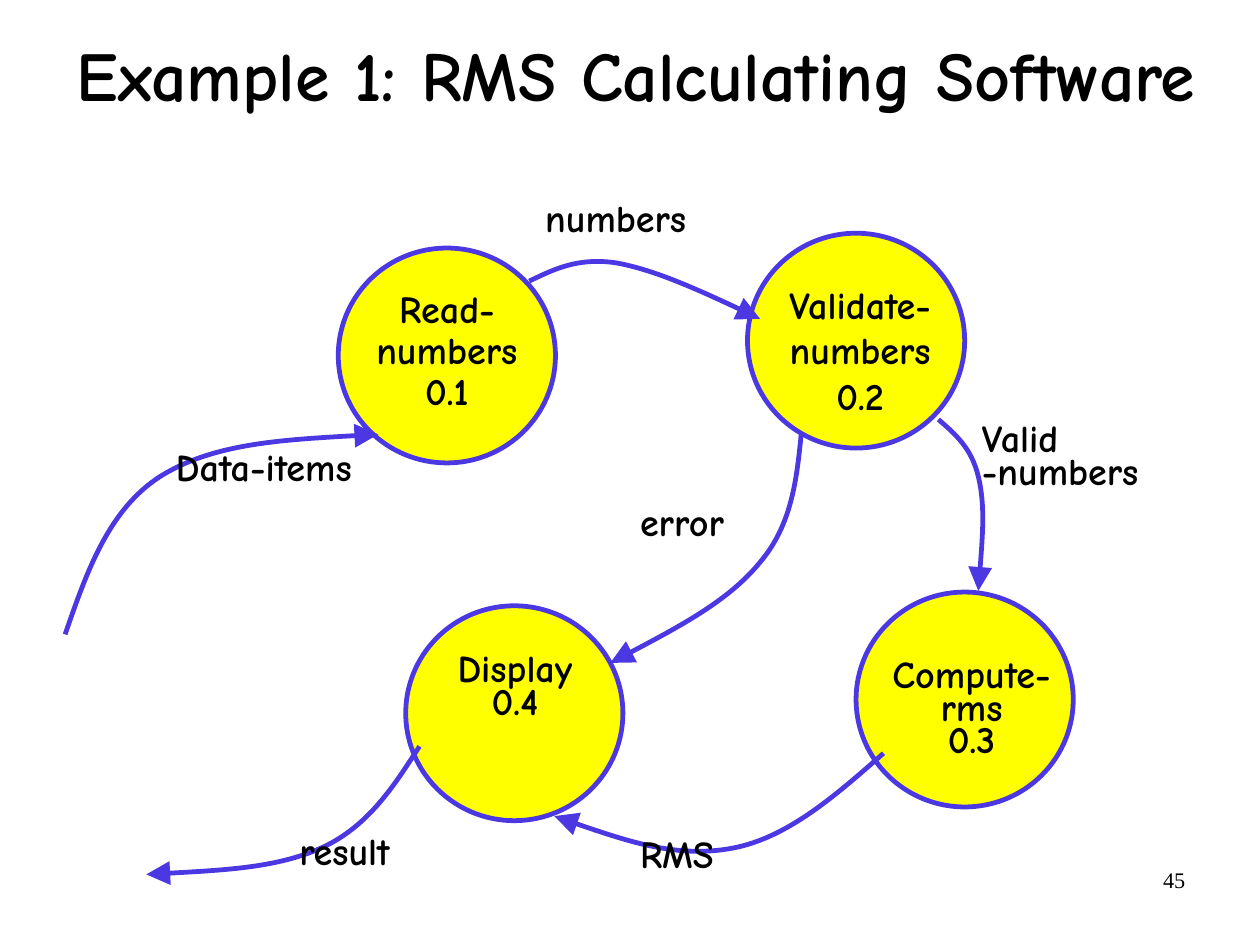
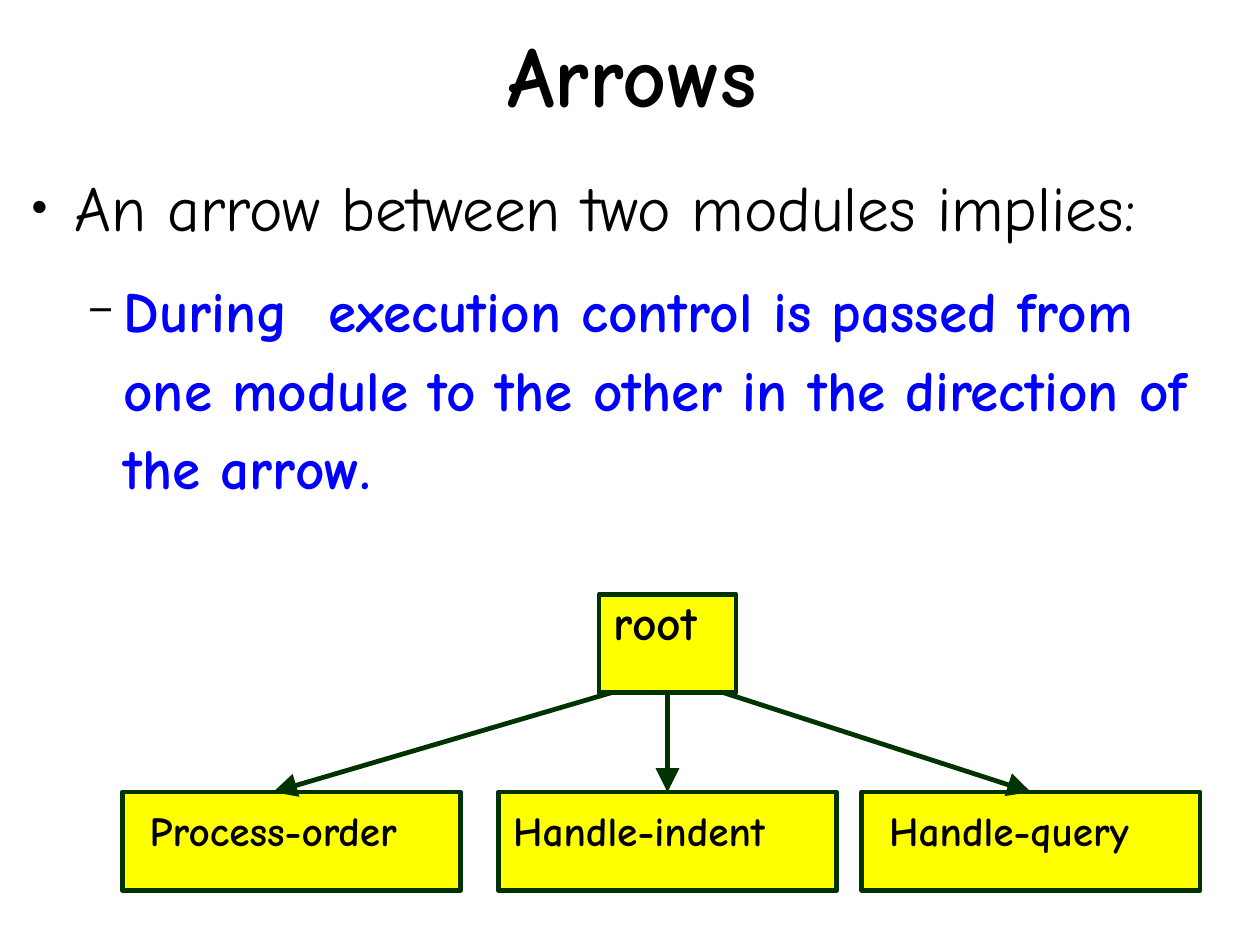
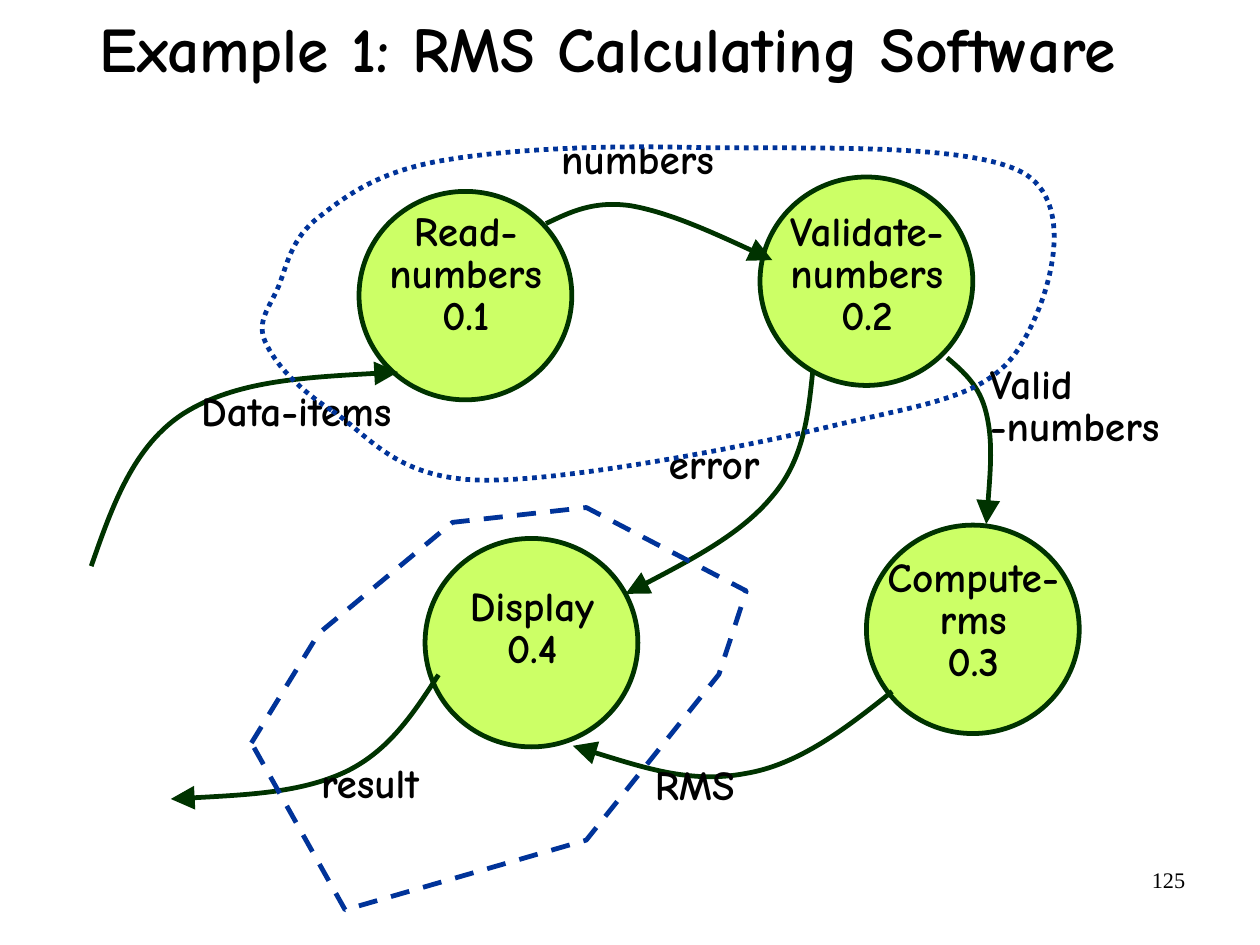
"""Build three slides on data flow diagrams and structure charts."""
from dataclasses import dataclass
from typing import Optional

from lxml.etree import SubElement
from pptx import Presentation
from pptx.dml.color import RGBColor
from pptx.enum.dml import MSO_LINE_DASH_STYLE as Dash
from pptx.enum.shapes import MSO_CONNECTOR as Connector, MSO_SHAPE as Preset
from pptx.enum.text import MSO_ANCHOR as Anchor, MSO_AUTO_SIZE as AutoSize, PP_ALIGN as Align
from pptx.oxml.ns import qn
from pptx.util import Inches, Pt

SLIDE_WIDTH = Inches(28 / 2.54)
SLIDE_HEIGHT = Inches(21 / 2.54)

BLACK = RGBColor(0x00, 0x00, 0x00)
YELLOW = RGBColor(0xFF, 0xFF, 0x00)
LIME = RGBColor(0xCC, 0xFF, 0x66)
VIOLET = RGBColor(0x4C, 0x38, 0xE2)
DARK_GREEN = RGBColor(0x00, 0x33, 0x00)
NAVY = RGBColor(0x00, 0x33, 0x99)
BLUE = RGBColor(0x00, 0x00, 0xFF)

FONT = "Comic Neue"
NUMBER_FONT = "Times New Roman"
LINE_WIDTH = Pt(3)
MARGINS = (0.02, 0.06)
TITLE_ONLY, TITLE_AND_CONTENT = 5, 1

Point = tuple[float, float]
Points = tuple[Point, ...]


@dataclass(frozen=True)
class Box:
    """A place on a slide, in inches."""
    left: float
    top: float
    width: float
    height: float

    def lengths(self) -> tuple:
        """Return the four lengths for an add call."""
        return tuple(Inches(v) for v in (self.left, self.top, self.width, self.height))


@dataclass(frozen=True)
class Label:
    """A caption of the flow diagram."""
    text: str
    box: Box
    spacing: float
    align: Align = Align.LEFT


@dataclass(frozen=True)
class Diagram:
    """How one slide places and colours the flow diagram."""
    origin: Point
    scale: Point
    fill: RGBColor
    line: RGBColor
    label_size: int
    rms_flow: Points
    labels: tuple[Label, ...]

    def place(self, point: Point) -> Point:
        """Move a diagram point to its place on the slide."""
        return tuple(o + s * p for o, s, p in zip(self.origin, self.scale, point))


@dataclass(frozen=True)
class Module:
    """A box of the structure chart."""
    name: str
    box: Box
    size: int
    indent: float
    drop: float


@dataclass(frozen=True)
class Call:
    """An arrow from the root; a missing end is joined to the side's middle."""
    start: Optional[float]
    end: Optional[float]


@dataclass(frozen=True)
class Bullet:
    """A bulleted paragraph of the body."""
    text: str
    level: int
    size: int
    color: RGBColor
    bold: bool
    mark: str
    mark_percent: int
    margin: float
    hang: float
    before: float
    after: float


BUBBLE_SIZE = (1.9, 1.88)
BUBBLES: Points = ((2.96, 2.17), (3.55, 5.3), (6.54, 2.04), (7.49, 5.18))
FLOWS: tuple[Points, ...] = (
    ((0.57, 5.55), (0.76, 5), (0.95, 4.46), (1.4, 4.17), (1.86, 3.88), (2.58, 3.84), (3.31, 3.8)),
    ((4.63, 2.46), (4.84, 2.36), (5.05, 2.25), (5.39, 2.3), (5.72, 2.36), (6.19, 2.57), (6.65, 2.79)),
    ((8.21, 3.67), (8.36, 3.8), (8.5, 3.92), (8.56, 4.17), (8.62, 4.42), (8.59, 4.8), (8.56, 5.17)),
    ((3.67, 6.53), (3.45, 6.87), (3.23, 7.22), (2.83, 7.41), (2.44, 7.59), (1.86, 7.62), (1.28, 7.65)),
    ((7.01, 3.8), (6.97, 4.19), (6.93, 4.59), (6.65, 4.92), (6.38, 5.25), (5.86, 5.53), (5.34, 5.8)),
)

FIRST_DIAGRAM = Diagram(
    (0, 0), (1, 1), YELLOW, VIOLET, 24,
    ((7.73, 6.59), (7.31, 6.96), (6.89, 7.33), (6.41, 7.42), (5.93, 7.51), (5.39, 7.33), (4.85, 7.14)),
    (
        Label("Data-items", Box(1.52, 3.92, 1.9, 1.15), 0.72),
        Label("result", Box(2.6, 7.28, 1.43, 0.65), 0.72),
        Label("Read-numbers\v0.1", Box(2.96, 2.48, 1.9, 1.65), 0.9, Align.CENTER),
        Label("Validate-numbers\v0.2", Box(6.57, 2.4, 1.91, 2.09), 1.0, Align.CENTER),
        Label("Compute-rms\v0.3", Box(7.55, 5.73, 1.9, 1.65), 0.72, Align.CENTER),
        Label("Display\v0.4", Box(3.55, 5.68, 1.91, 1.15), 0.72, Align.CENTER),
        Label("RMS", Box(5.58, 7.31, 1.43, 0.65), 0.72),
        Label("numbers", Box(4.75, 1.74, 1.9, 0.65), 0.72),
        Label("Valid -numbers", Box(8.57, 3.67, 1.9, 1.61), 0.72),
        Label("error", Box(5.58, 4.4, 1.9, 0.65), 0.72),
    ),
)
SECOND_DIAGRAM = Diagram(
    (0.24, -0.43), (0.98, 0.97), LIME, DARK_GREEN, 26,
    ((7.72, 6.68), (7.31, 7.01), (6.89, 7.34), (6.41, 7.42), (5.93, 7.51), (5.41, 7.34), (4.87, 7.17)),
    (
        Label("Data-items", Box(1.74, 3.38, 1.87, 1.11), 0.85),
        Label("result", Box(2.79, 6.63, 1.4, 0.63), 0.85),
        Label("Read-numbers\v0.1", Box(3.14, 1.8, 1.87, 1.6), 0.85, Align.CENTER),
        Label("Validate-numbers\v0.2", Box(6.65, 1.8, 1.87, 2.03), 0.85, Align.CENTER),
        Label("Compute-rms\v0.3", Box(7.58, 4.83, 1.87, 1.6), 0.85, Align.CENTER),
        Label("Display\v0.4", Box(3.72, 5.08, 1.87, 1.12), 0.85, Align.CENTER),
        Label("RMS", Box(5.71, 6.65, 1.4, 0.63), 0.85),
        Label("numbers", Box(4.89, 1.17, 1.87, 0.63), 0.85),
        Label("Valid -numbers", Box(8.64, 3.14, 1.87, 1.56), 0.85),
        Label("error", Box(5.83, 3.84, 1.87, 0.63), 0.85),
    ),
)
INPUT_REGION: Points = (
    (2.9, 3.59), (2.59, 3.39), (2.4, 3.17), (2.32, 2.99), (2.24, 2.81), (2.36, 2.69), (2.44, 2.5),
    (2.51, 2.32), (2.55, 2.08), (2.79, 1.9), (3.02, 1.72), (3.29, 1.51), (3.84, 1.41),
    (4.39, 1.31), (5.2, 1.27), (6.06, 1.29), (6.92, 1.31), (8.52, 1.23), (8.98, 1.53),
    (9.45, 1.84), (9.14, 2.75), (8.87, 3.11), (8.59, 3.47), (8.13, 3.53), (7.35, 3.71),
    (6.57, 3.9), (4.93, 4.22), (4.19, 4.2), (3.45, 4.18), (3.22, 3.8), (2.9, 3.59),
)
OUTPUT_REGION: Points = (
    (2.2, 6.5), (2.79, 5.54), (3.96, 4.57), (5.13, 4.44), (6.53, 5.17),
    (6.29, 5.9), (5.13, 7.35), (3.02, 7.96), (2.2, 6.5),
)

ROOT = Module("root", Box(5.24, 5.2, 1.2, 0.86), 30, 0.13, 0.06)
CHILD_TOP = 6.93
CHILDREN = tuple(
    Module(name, Box(left, CHILD_TOP, 2.96, 0.86), 26, indent, 0.18)
    for name, left, indent in (
        ("Process-order", 1.07, 0.24), ("Handle-indent", 4.36, 0.13), ("Handle-query", 7.54, 0.24))
)
CALLS = (Call(5.35, 2.39), Call(None, None), Call(6.33, None))
BULLETS = (
    Bullet("An arrow between two modules implies:", 0, 40, BLACK, False, "●", 45, 0.38, 0.38, 0, 7.5),
    Bullet("During  execution control is passed from one module to the other in the direction of the arrow.",
           1, 36, BLUE, True, "−", 75, 0.81, 0.31, 5.5, 6.8),
)


def style_paragraph(paragraph, size: float, color: RGBColor = BLACK, bold: bool = True,
                    spacing: float = 1.0, align: Align = Align.LEFT, font: str = FONT) -> None:
    """Format a whole paragraph."""
    paragraph.alignment = align
    paragraph.line_spacing = spacing
    paragraph.font.name = font
    paragraph.font.size = Pt(size)
    paragraph.font.bold = bold
    paragraph.font.color.rgb = color


def prepare_frame(frame, margins: Point = MARGINS, anchor: Anchor = Anchor.TOP) -> None:
    """Set wrapping, insets and anchor of a text frame."""
    frame.word_wrap = True
    frame.auto_size = AutoSize.NONE
    frame.vertical_anchor = anchor
    frame.margin_left, frame.margin_top = (Inches(margin) for margin in margins)
    frame.margin_right, frame.margin_bottom = (Inches(margin) for margin in MARGINS)


def move_to(shape, box: Box) -> None:
    """Place a placeholder."""
    shape.left, shape.top, shape.width, shape.height = box.lengths()


def add_titled_slide(presentation, layout: int, title: str, box: Box, size: int):
    """Add a slide with its title in the shared style."""
    slide = presentation.slides.add_slide(presentation.slide_layouts[layout])
    shape = slide.shapes.title
    move_to(shape, box)
    prepare_frame(shape.text_frame, anchor=Anchor.MIDDLE)
    shape.text_frame.text = title
    style_paragraph(shape.text_frame.paragraphs[0], size, spacing=0.94, align=Align.CENTER)
    return slide


def add_text(slide, text: str, box: Box, margins: Point = MARGINS, **style) -> None:
    """Add a text box of one paragraph."""
    frame = slide.shapes.add_textbox(*box.lengths()).text_frame
    prepare_frame(frame, margins)
    frame.text = text
    style_paragraph(frame.paragraphs[0], **style)


def add_number(slide, number: int) -> None:
    """Add the slide number."""
    add_text(slide, str(number), Box(7.9, 7.53, 2.49, 0.57), (0.1, 0.05),
             size=14, bold=False, align=Align.RIGHT, font=NUMBER_FONT)


def add_preset(slide, preset: Preset, box: Box, fill: RGBColor, line: RGBColor):
    """Add a filled and outlined shape without shadow."""
    shape = slide.shapes.add_shape(preset, *box.lengths())
    shape.shadow.inherit = False
    shape.fill.solid()
    shape.fill.fore_color.rgb = fill
    shape.line.color.rgb = line
    shape.line.width = LINE_WIDTH
    return shape


def style_stroke(shape, color: RGBColor, dash: Optional[Dash] = None, arrow: bool = False) -> None:
    """Format a line, with a large arrowhead at its end if asked."""
    shape.line.color.rgb = color
    shape.line.width = LINE_WIDTH
    if dash is not None:
        shape.line.dash_style = dash
    if arrow:
        stroke = shape._element.spPr.find(qn("a:ln"))
        SubElement(stroke, qn("a:tailEnd"), type="triangle", w="lg", len="lg")


def add_outline(slide, points: Points, curved: bool, color: RGBColor,
                dash: Optional[Dash] = None, arrow: bool = False) -> None:
    """Add an open outline; curved points are Bézier triples after the first."""
    start, *rest = [(Inches(x), Inches(y)) for x, y in points]
    builder = slide.shapes.build_freeform(*start)
    builder.add_line_segments(rest, close=False)
    shape = builder.convert_to_shape()
    shape.shadow.inherit = False
    shape.fill.background()
    if curved:
        outline = next(shape._element.iter(qn("a:path")))
        lines = outline.findall(qn("a:lnTo"))
        for first in range(0, len(lines), 3):
            curve = SubElement(outline, qn("a:cubicBezTo"))
            for line in lines[first:first + 3]:
                curve.append(line[0])
                outline.remove(line)
    style_stroke(shape, color, dash, arrow)


def add_diagram(slide, diagram: Diagram) -> None:
    """Draw the bubbles, flows and captions of the flow diagram."""
    size = [scale * side for scale, side in zip(diagram.scale, BUBBLE_SIZE)]
    for corner in BUBBLES:
        add_preset(slide, Preset.OVAL, Box(*diagram.place(corner), *size), diagram.fill, diagram.line)
    for flow in (*FLOWS, diagram.rms_flow):
        add_outline(slide, tuple(map(diagram.place, flow)), True, diagram.line, arrow=True)
    for label in diagram.labels:
        add_text(slide, label.text, label.box, size=diagram.label_size,
                 spacing=label.spacing, align=label.align)


def add_module(slide, module: Module):
    """Add a module box with its name."""
    shape = add_preset(slide, Preset.RECTANGLE, module.box, YELLOW, DARK_GREEN)
    prepare_frame(shape.text_frame, (module.indent, module.drop))
    shape.text_frame.text = module.name
    style_paragraph(shape.text_frame.paragraphs[0], module.size, spacing=0.85)
    return shape


def add_call(slide, call: Call, root, child) -> None:
    """Add an arrow from the root to a child module."""
    connector = slide.shapes.add_connector(
        Connector.STRAIGHT, Inches(call.start or 0), root.top + root.height,
        Inches(call.end or 0), child.top)
    if call.start is None:
        connector.begin_connect(root, 2)
    if call.end is None:
        connector.end_connect(child, 0)
    style_stroke(connector, DARK_GREEN, arrow=True)
    SubElement(connector._element.spPr, qn("a:effectLst"))


def add_bullets(slide, bullets: tuple[Bullet, ...], box: Box) -> None:
    """Fill the body placeholder with bulleted paragraphs."""
    body = slide.placeholders[1]
    move_to(body, box)
    frame = body.text_frame
    prepare_frame(frame)
    frame.text = "\n".join(bullet.text for bullet in bullets)
    for paragraph, bullet in zip(frame.paragraphs, bullets):
        paragraph.level = bullet.level
        properties = paragraph._p.get_or_add_pPr()
        properties.set("marL", str(Inches(bullet.margin)))
        properties.set("indent", str(-Inches(bullet.hang)))
        SubElement(SubElement(properties, qn("a:buClr")), qn("a:srgbClr"), val=str(BLACK))
        SubElement(properties, qn("a:buSzPct"), val=str(bullet.mark_percent * 1000))
        SubElement(properties, qn("a:buChar"), char=bullet.mark)
        paragraph.space_before = Pt(bullet.before)
        paragraph.space_after = Pt(bullet.after)
        style_paragraph(paragraph, bullet.size, bullet.color, bullet.bold, spacing=1.15)


def main() -> None:
    """Build and save the presentation."""
    presentation = Presentation()
    presentation.slide_width = SLIDE_WIDTH
    presentation.slide_height = SLIDE_HEIGHT
    example_title = "Example 1: RMS Calculating Software"

    slide = add_titled_slide(presentation, TITLE_ONLY, example_title, Box(0.43, 0, 10.28, 1.37), 44)
    add_number(slide, 45)
    add_diagram(slide, FIRST_DIAGRAM)

    slide = add_titled_slide(presentation, TITLE_AND_CONTENT, "Arrows", Box(0.83, 0, 9.4, 1.37), 54)
    add_bullets(slide, BULLETS, Box(0.25, 1.31, 10.35, 5.48))
    root = add_module(slide, ROOT)
    for module, call in zip(CHILDREN, CALLS):
        add_call(slide, call, root, add_module(slide, module))

    slide = add_titled_slide(presentation, TITLE_ONLY, example_title, Box(0.05, -0.34, 10.53, 1.57), 40)
    add_number(slide, 125)
    add_diagram(slide, SECOND_DIAGRAM)
    add_outline(slide, INPUT_REGION, True, NAVY, Dash.ROUND_DOT)
    add_outline(slide, OUTPUT_REGION, False, NAVY, Dash.DASH)

    presentation.save("out.pptx")


if __name__ == "__main__":
    main()
